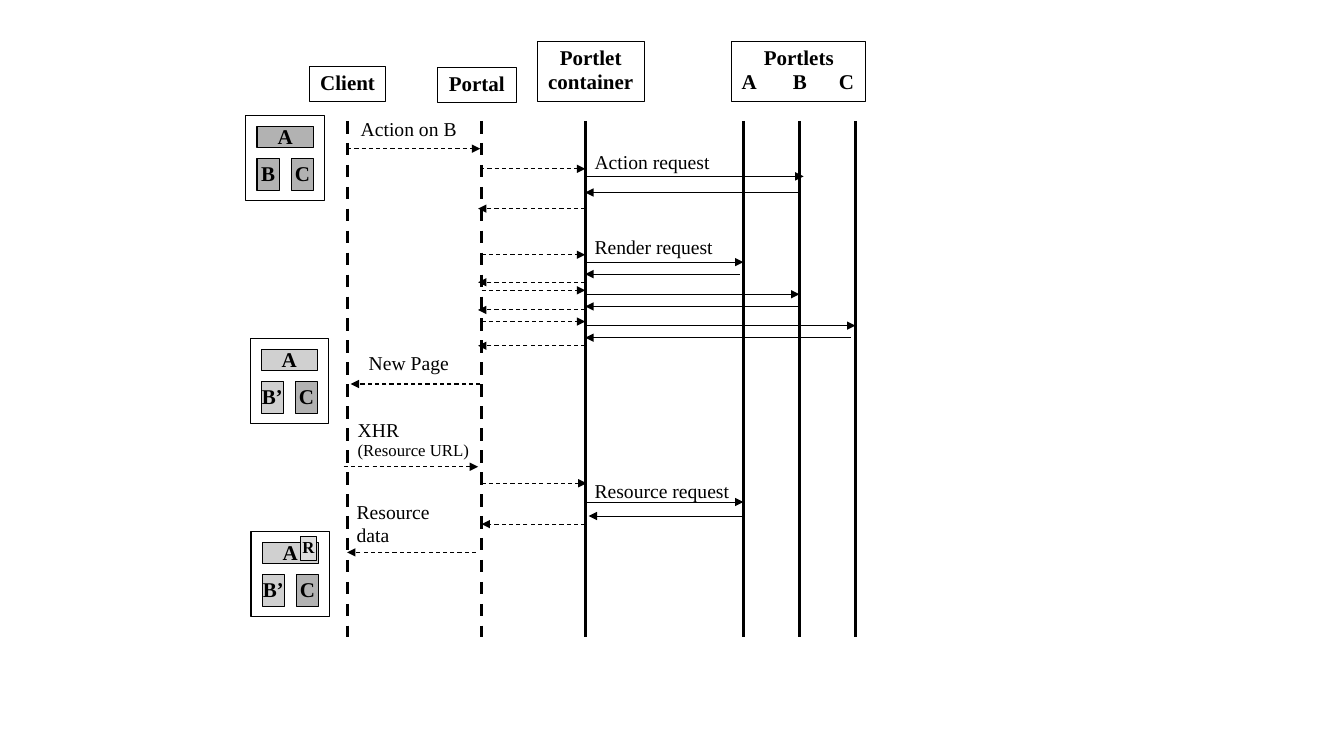
from dataclasses import dataclass

from lxml.etree import SubElement
from pptx import Presentation
from pptx.dml.color import RGBColor
from pptx.enum.dml import MSO_LINE
from pptx.enum.shapes import MSO_CONNECTOR, MSO_SHAPE
from pptx.enum.text import MSO_ANCHOR as Anchor, PP_ALIGN as Align
from pptx.oxml.ns import qn
from pptx.util import Pt


@dataclass(frozen=True)
class Theme:
    font: str = "Times New Roman"
    ink: RGBColor = RGBColor(0, 0, 0)
    stale: RGBColor = RGBColor(0xB2, 0xB2, 0xB2)
    fresh: RGBColor = RGBColor(0xD0, 0xD0, 0xD0)
    resource: RGBColor = RGBColor(0xDD, 0xDD, 0xDD)
    title_size: int = 15
    label_size: int = 14
    small_size: int = 12
    thin: float = 0.75
    thick: float = 2.25
    line_spacing: float = 0.95


THEME = Theme()

LIFELINE_TOP, LIFELINE_BOTTOM = 86.4, 455
LIFELINES = {"client": 248, "portal": 344, "container": 418,
             "A": 531, "B": 571, "C": 611}
DASHED_LIFELINES = ("client", "portal")

# left, top, width, height, lines
HEADERS = [
    (221, 47.5, 54.7, 25.2, ["Client"]),
    (312.5, 48.2, 56.2, 25.2, ["Portal"]),
    (383.8, 29.5, 76.3, 43.2, ["Portlet", "container"]),
]
PORTLETS_HEADER = (522.7, 29.5, 95.8, 43.2)
PORTLET_TABS = (36.5, 69.5)

# sender, receiver, y, then how far each end stands off its lifeline
MESSAGES = [
    ("client", "portal", 106.2, 0, -1),
    ("portal", "container", 120.6, -1, 0),
    ("container", "B", 126, 0, 3),
    ("B", "container", 137.5, 0, 0),
    ("container", "portal", 149, 0, -2.5),
    ("portal", "container", 182, 0, 0),
    ("container", "A", 187.2, 0, 0),
    ("A", "container", 195.8, -2.5, 0),
    ("container", "portal", 201.6, 0, -2.5),
    ("portal", "container", 207.4, 0, 0),
    ("container", "B", 210.2, 0, 0),
    ("B", "container", 218.9, 0, 0),
    ("container", "portal", 221.4, 0, -2.5),
    ("portal", "container", 229.7, 0, 0),
    ("container", "C", 232.6, 0, 0),
    ("C", "container", 241.2, -3, 0),
    ("container", "portal", 247, 0, -2.5),
    ("portal", "client", 274.3, -1, 2.5),
    ("client", "portal", 333.4, -2.5, -2.5),
    ("portal", "container", 345.2, 0, 1),
    ("container", "A", 358.6, 0, 0),
    ("A", "container", 368.6, 0, 2.5),
    ("container", "portal", 374.4, 0, 0),
    ("portal", "client", 394.6, -4, 0),
]

# left, top, width, height, lines
LABELS = [
    (250.6, 81.4, 83.5, 23, ["Action on B"]),
    (417.6, 104.4, 97.2, 23, ["Action request"]),
    (417.6, 165.6, 100, 23, ["Render request"]),
    (256.3, 248.4, 72, 23, ["New Page"]),
    (248.4, 295.9, 95, 37.4, ["XHR", "(Resource URL)"]),
    (417.6, 339.8, 111.6, 23, ["Resource request"]),
    (247.7, 355, 67, 39.6, ["Resource", "data"]),
]

PAGE_SIZE = (56.2, 60.5)
TILE_BOXES = [(7.9, 7.7, 40.3, 15.2), (7.9, 30.7, 16, 22.7), (32.4, 30.7, 16, 22.7)]
RESOURCE_BOX = (35.3, 3, 11.5, 17.3)
FIRST_TILES = [("A", THEME.stale), ("B", THEME.stale), ("C", THEME.stale)]
UPDATED_TILES = [("A", THEME.fresh), ("B’", THEME.fresh), ("C", THEME.stale)]
PAGES = [(175.7, 82.8, FIRST_TILES), (178.6, 241.9, UPDATED_TILES),
         (179.3, 379.9, UPDATED_TILES)]


def apply(target, values):
    for name, value in values.items():
        setattr(target, name, value)


def write(shape, lines, sizes, bold=False, align=Align.LEFT, **frame_format):
    frame = shape.text_frame
    apply(frame, {"word_wrap": False, "vertical_anchor": Anchor.TOP, **frame_format})
    frame.text = "\n".join(lines)
    for paragraph, size in zip(frame.paragraphs, sizes):
        apply(paragraph, {"alignment": align, "line_spacing": THEME.line_spacing})
        for run in paragraph.runs:
            apply(run.font, {"name": THEME.font, "size": Pt(size), "bold": bold})
            run.font.color.rgb = THEME.ink


def add_box(slide, box, fill=None):
    shape = slide.shapes.add_shape(MSO_SHAPE.RECTANGLE, *map(Pt, box))
    shape.shadow.inherit = False
    if fill is None:
        shape.fill.background()
    else:
        shape.fill.solid()
        shape.fill.fore_color.rgb = fill
    shape.line.color.rgb = THEME.ink
    shape.line.width = Pt(THEME.thin)
    return shape


def add_line(slide, start, end, width, dashed, arrow=False):
    line = slide.shapes.add_connector(MSO_CONNECTOR.STRAIGHT, *map(Pt, start + end))
    line.line.color.rgb = THEME.ink
    line.line.width = Pt(width)
    if dashed:
        line.line.dash_style = MSO_LINE.DASH
    properties = line.element.spPr
    if arrow:
        SubElement(properties.find(qn("a:ln")), qn("a:tailEnd"), type="triangle")
    SubElement(properties, qn("a:effectLst"))


def add_message(slide, sender, receiver, y, start_gap, end_gap):
    """Draw an arrow between two lifelines; traffic with the portal is dashed."""
    start = (LIFELINES[sender] + start_gap, y)
    end = (LIFELINES[receiver] + end_gap, y)
    add_line(slide, start, end, THEME.thin, "portal" in (sender, receiver), arrow=True)


def add_portlets_header(slide):
    """Title box whose second line spaces the portlet letters with tab stops."""
    shape = add_box(slide, PORTLETS_HEADER)
    write(shape, ["Portlets", "A\tB\tC"], [THEME.title_size] * 2, bold=True,
          word_wrap=True)
    title, letters = shape.text_frame.paragraphs
    title.alignment = Align.CENTER
    tabs = SubElement(letters._p.get_or_add_pPr(), qn("a:tabLst"))
    for position in PORTLET_TABS:
        SubElement(tabs, qn("a:tab"), pos=str(Pt(position)), algn="l")


def add_label(slide, left, top, width, height, lines):
    shape = slide.shapes.add_textbox(*map(Pt, (left, top, width, height)))
    sizes = [THEME.small_size if line.startswith("(") else THEME.label_size
             for line in lines]
    write(shape, lines, sizes)


def add_tile(slide, page_left, page_top, box, letter, fill, size=THEME.title_size):
    left, top, width, height = box
    shape = add_box(slide, (page_left + left, page_top + top, width, height), fill)
    write(shape, [letter], [size], bold=True, align=Align.CENTER,
          vertical_anchor=Anchor.MIDDLE, margin_left=0, margin_right=0,
          margin_top=0, margin_bottom=0)


def add_page(slide, left, top, tiles):
    add_box(slide, (left, top, *PAGE_SIZE))
    for box, (letter, fill) in zip(TILE_BOXES, tiles):
        add_tile(slide, left, top, box, letter, fill)


def main():
    presentation = Presentation()
    apply(presentation, {"slide_width": Pt(960), "slide_height": Pt(540)})
    slide = presentation.slides.add_slide(presentation.slide_layouts[6])

    for *box, lines in HEADERS:
        write(add_box(slide, box), lines, [THEME.title_size] * len(lines),
              bold=True, align=Align.CENTER)
    add_portlets_header(slide)
    for name, x in LIFELINES.items():
        add_line(slide, (x, LIFELINE_TOP), (x, LIFELINE_BOTTOM), THEME.thick,
                 name in DASHED_LIFELINES)
    for message in MESSAGES:
        add_message(slide, *message)
    for label in LABELS:
        add_label(slide, *label)
    for page in PAGES:
        add_page(slide, *page)
    last_left, last_top, _ = PAGES[-1]
    add_tile(slide, last_left, last_top, RESOURCE_BOX, "R", THEME.resource,
             THEME.small_size)
    presentation.save("out.pptx")


if __name__ == "__main__":
    main()
